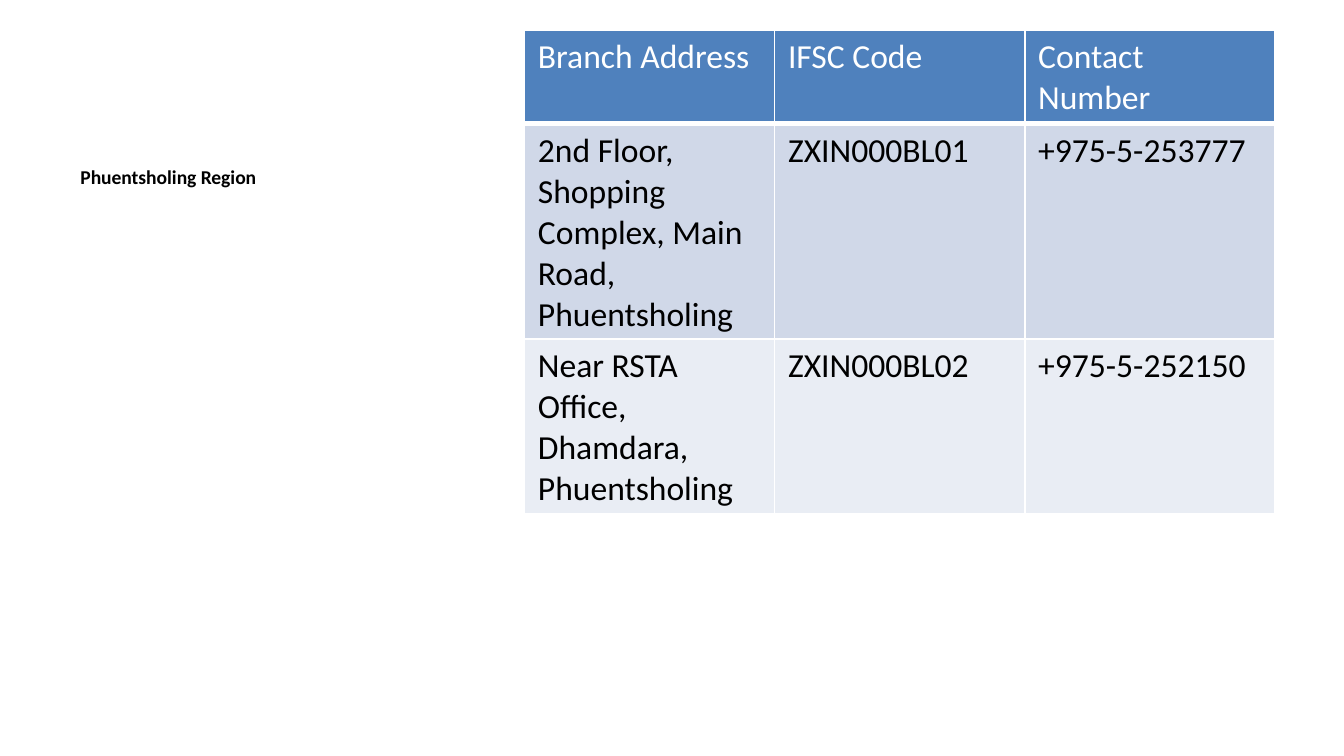
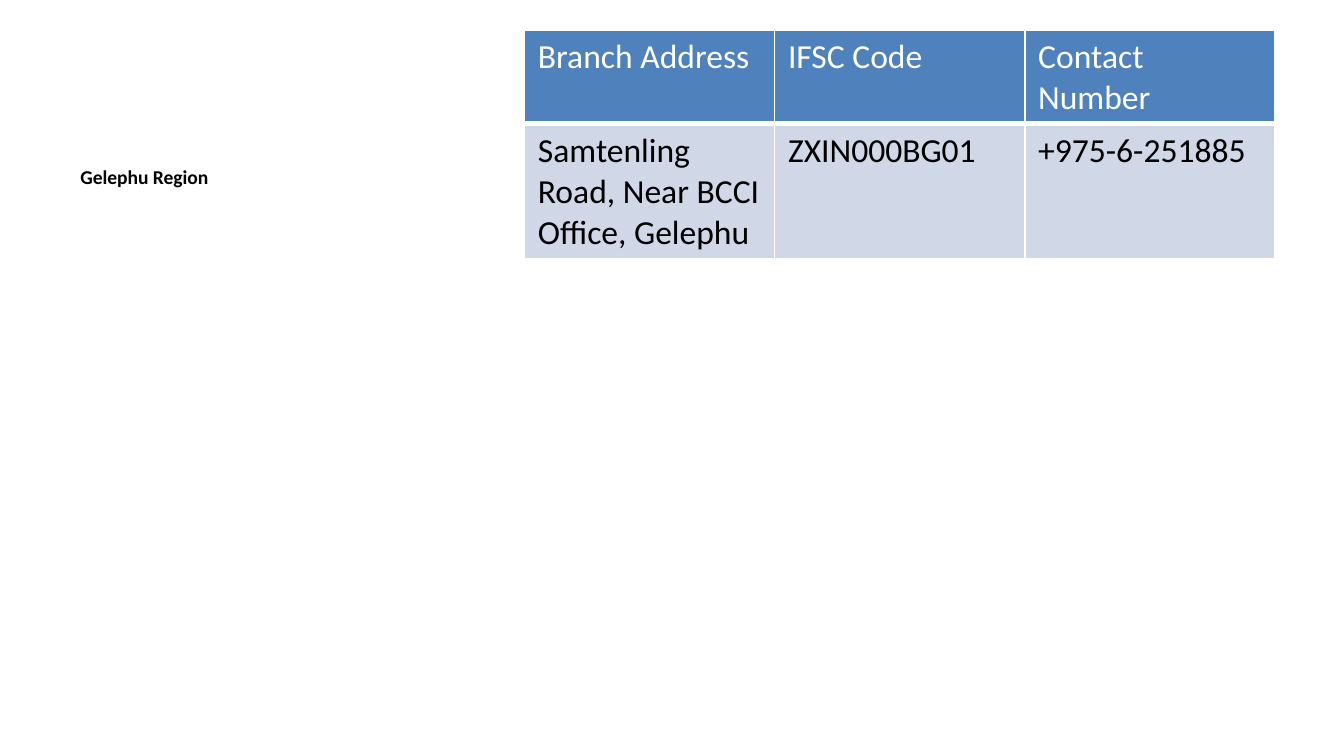
import lxml.etree
import pptx
import pptx.dml.color
import pptx.oxml.ns
import pptx.util

Pt = pptx.util.Pt
qn = pptx.oxml.ns.qn

FONT = "Calibri"
COLORS = {
    "text": "000000",
    "white": "FFFFFF",
    "header": "4F81BD",
    "band_dark": "D0D8E8",
    "band_light": "E9EDF4",
}
REGION_BOX = (36, 85, 237, 277)
TABLE_BOX = (281, 16, 402, 345)

HEADINGS = ("Branch Address", "IFSC Code", "Contact Number")
REGIONS = {
    "Phuentsholing Region": [
        ("2nd Floor, Shopping Complex, Main Road, Phuentsholing", "ZXIN000BL01", "+975-5-253777"),
        ("Near RSTA Office, Dhamdara, Phuentsholing", "ZXIN000BL02", "+975-5-252150"),
    ],
    "Gelephu Region": [
        ("Samtenling Road, Near BCCI Office, Gelephu", "ZXIN000BG01", "+975-6-251885"),
    ],
}


def rgb(name):
    return pptx.dml.color.RGBColor.from_string(COLORS[name])


def style_text(para, size, color, bold=False):
    para.font.name = FONT
    para.font.size = Pt(size)
    para.font.bold = bold
    para.font.color.rgb = rgb(color)


def add_borders(cell, bottom):
    """Draw white cell borders; they must precede the cell's fill."""
    properties = cell._tc.get_or_add_tcPr()
    for side, width in (("L", 1), ("R", 1), ("T", 1), ("B", bottom)):
        line = lxml.etree.SubElement(properties, qn(f"a:ln{side}"), w=str(Pt(width)))
        fill = lxml.etree.SubElement(line, qn("a:solidFill"))
        lxml.etree.SubElement(fill, qn("a:srgbClr"), val=COLORS["white"])


def add_region_name(page, box, name):
    frame = page.shapes.add_textbox(*map(Pt, box)).text_frame
    frame.word_wrap = True
    frame.text = name
    style_text(frame.paragraphs[0], 10.5, "text", bold=True)


def add_branch_table(page, box, branches):
    rows = [HEADINGS, *branches]
    holder = page.shapes.add_table(len(rows), len(HEADINGS), *map(Pt, box))
    table = holder.table
    for row_index, values in enumerate(rows):
        is_header = row_index == 0
        band = "header" if is_header else ("band_light", "band_dark")[row_index % 2]
        # Rows grow to fit their text
        table.rows[row_index].height = Pt(0)
        for column_index, value in enumerate(values):
            cell = table.cell(row_index, column_index)
            cell.text = value
            style_text(cell.text_frame.paragraphs[0], 18, "white" if is_header else "text")
            add_borders(cell, bottom=3 if is_header else 1)
            cell.fill.solid()
            cell.fill.fore_color.rgb = rgb(band)
    holder.height = Pt(box[3])


def add_region_page(deck, name, branches):
    page = deck.slides.add_slide(deck.slide_layouts[6])
    add_region_name(page, REGION_BOX, name)
    add_branch_table(page, TABLE_BOX, branches)


def main():
    deck = pptx.Presentation()
    deck.slide_width, deck.slide_height = Pt(720), Pt(405)
    for name, branches in REGIONS.items():
        add_region_page(deck, name, branches)
    deck.save("out.pptx")


if __name__ == "__main__":
    main()
